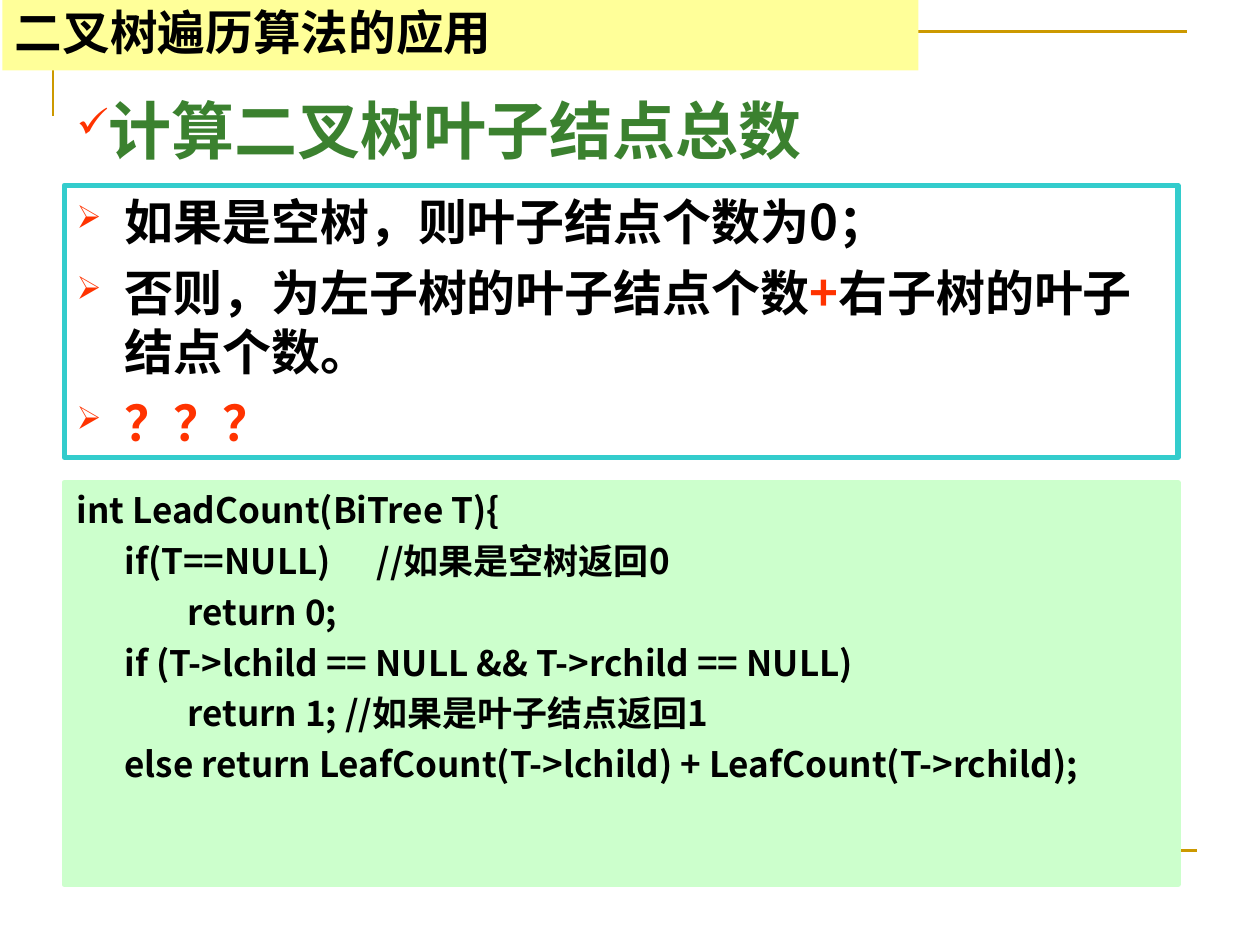
from dataclasses import dataclass
from typing import NamedTuple

from lxml.etree import SubElement
from pptx import Presentation
from pptx.dml.color import RGBColor
from pptx.enum.shapes import MSO_CONNECTOR as Connector, MSO_SHAPE as Preset
from pptx.enum.text import MSO_ANCHOR as Anchor
from pptx.oxml.ns import qn
from pptx.util import Inches, Pt

COLUMNS, ROWS = 10, 7.5
CELL = Inches(1)


@dataclass(frozen=True)
class Theme:
    font: str = "Noto Sans CJK SC"
    accent_font: str = "Times New Roman"
    ink: str = "000000"
    green: str = "3B812F"
    red: str = "FF3300"
    gold: str = "CC9900"
    yellow: str = "FFFF99"
    teal: str = "33CCCC"
    mint: str = "CCFFCC"
    title: float = 36
    header: float = 27.2
    body: float = 28
    code: float = 20
    rule: float = 1.5
    border: float = 3


THEME = Theme()


class Area(NamedTuple):
    """Left, top, width and height in grid cells."""
    left: float
    top: float
    width: float
    height: float


class Piece(NamedTuple):
    """A stretch of text with its own font or colour."""
    text: str
    font: str = THEME.font
    color: str = THEME.ink


PANEL_LEFT, PANEL_WIDTH = 0.51, 8.84
HEADER = Area(0.02, 0, 7.27, 0.56)
TITLE = Area(PANEL_LEFT, 0.68, 6.53, 0.7)
RULES = Area(PANEL_LEFT, 1.47, PANEL_WIDTH, 2.16)
CODE = Area(PANEL_LEFT, 3.83, PANEL_WIDTH, 3.19)

RULE_LINES = [
    [Piece("如果是空树，则叶子结点个数为0；")],
    [
        Piece("否则，为左子树的"),
        Piece("叶子", THEME.accent_font),
        Piece("结点个数"),
        Piece("+", color=THEME.red),
        Piece("右子树的"),
        Piece("叶子", THEME.accent_font),
        Piece("结点个数。"),
    ],
    [Piece("？？？", color=THEME.red)],
]
CODE_LINES = [
    "int LeadCount(BiTree T){",
    " \tif(T==NULL) \t//如果是空树返回0",
    "\t\treturn 0;",
    "\tif (T->lchild == NULL && T->rchild == NULL)",
    "\t\treturn 1; //如果是叶子结点返回1",
    "\telse return LeafCount(T->lchild) + LeafCount(T->rchild);",
]


def cells(*values: float) -> list[int]:
    return [round(value * CELL) for value in values]


def color(value: str) -> RGBColor:
    return RGBColor.from_string(value)


def set_line(shape, value: str, width: float) -> None:
    shape.line.color.rgb = color(value)
    shape.line.width = Pt(width)


def add_panel(slide, area: Area, fill: str | None = None, border: str | None = None):
    shape = slide.shapes.add_shape(Preset.RECTANGLE, *cells(*area))
    shape.shadow.inherit = False
    if fill:
        shape.fill.solid()
        shape.fill.fore_color.rgb = color(fill)
    else:
        shape.fill.background()
    if border:
        set_line(shape, border, THEME.border)
    else:
        shape.line.fill.background()
    return shape


def format_paragraph(paragraph, indent: float, bullet: str | None, tabs: range) -> None:
    """Set the hanging indent, the bullet and the tab stops."""
    properties = paragraph._p.get_or_add_pPr()
    properties.set("algn", "l")
    properties.set("marL", str(cells(indent)[0]))
    properties.set("indent", str(cells(-indent)[0]))
    if bullet:
        bullet_color = SubElement(properties, qn("a:buClr"))
        SubElement(bullet_color, qn("a:srgbClr"), val=THEME.red)
        SubElement(properties, qn("a:buSzPct"), val="65000")
        SubElement(properties, qn("a:buChar"), char=bullet)
    else:
        SubElement(properties, qn("a:buNone"))
    if tabs:
        stops = SubElement(properties, qn("a:tabLst"))
        for stop in tabs:
            SubElement(stops, qn("a:tab"), pos=str(cells(stop)[0]), algn="l")


def write(shape, lines: list[list[Piece]], *, size: float, anchor=Anchor.TOP,
          indent: float = 0, bullet: str | None = None, tabs: range = range(0),
          before: float = 0, spacing: float = 1) -> None:
    frame = shape.text_frame
    frame.word_wrap = True
    frame.vertical_anchor = anchor
    for index, line in enumerate(lines):
        paragraph = frame.add_paragraph() if index else frame.paragraphs[0]
        format_paragraph(paragraph, indent, bullet, tabs)
        paragraph.space_before = Pt(before if index else 0)
        paragraph.line_spacing = spacing
        for piece in line:
            run = paragraph.add_run()
            run.text = piece.text
            run.font.size = Pt(size)
            run.font.bold = True
            run.font.color.rgb = color(piece.color)
            run.font.name = piece.font
            SubElement(run._r.get_or_add_rPr(), qn("a:ea"), typeface=THEME.font)


def add_frame_lines(slide) -> None:
    """Draw the gold corner at the top and the gold rule at the bottom."""
    builder = slide.shapes.build_freeform(*cells(0.42, 0.92))
    builder.add_line_segments([cells(0.42, 0.25), cells(9.42, 0.25)], close=False)
    corner = builder.convert_to_shape()
    corner.shadow.inherit = False
    corner.fill.background()
    rule = slide.shapes.add_connector(Connector.STRAIGHT, *cells(0.5, 6.75, 9.5, 6.75))
    SubElement(rule._element.spPr, qn("a:effectLst"))
    for line in (corner, rule):
        set_line(line, THEME.gold, THEME.rule)


def main() -> None:
    presentation = Presentation()
    presentation.slide_width, presentation.slide_height = cells(COLUMNS, ROWS)
    slide = presentation.slides.add_slide(presentation.slide_layouts[6])

    add_frame_lines(slide)
    write(slide.shapes.add_textbox(*cells(*TITLE)),
          [[Piece("计算二叉树叶子结点总数", color=THEME.green)]],
          size=THEME.title, anchor=Anchor.MIDDLE, bullet="✓")
    write(add_panel(slide, HEADER, fill=THEME.yellow),
          [[Piece("二叉树遍历算法的应用")]],
          size=THEME.header, anchor=Anchor.MIDDLE, spacing=0.9)
    write(add_panel(slide, RULES, border=THEME.teal), RULE_LINES,
          size=THEME.body, indent=0.38, bullet="➢", before=7)
    write(add_panel(slide, CODE, fill=THEME.mint, border=THEME.mint),
          [[Piece(line)] for line in CODE_LINES],
          size=THEME.code, indent=0.38, tabs=range(8), before=5)

    presentation.save("out.pptx")


if __name__ == "__main__":
    main()
